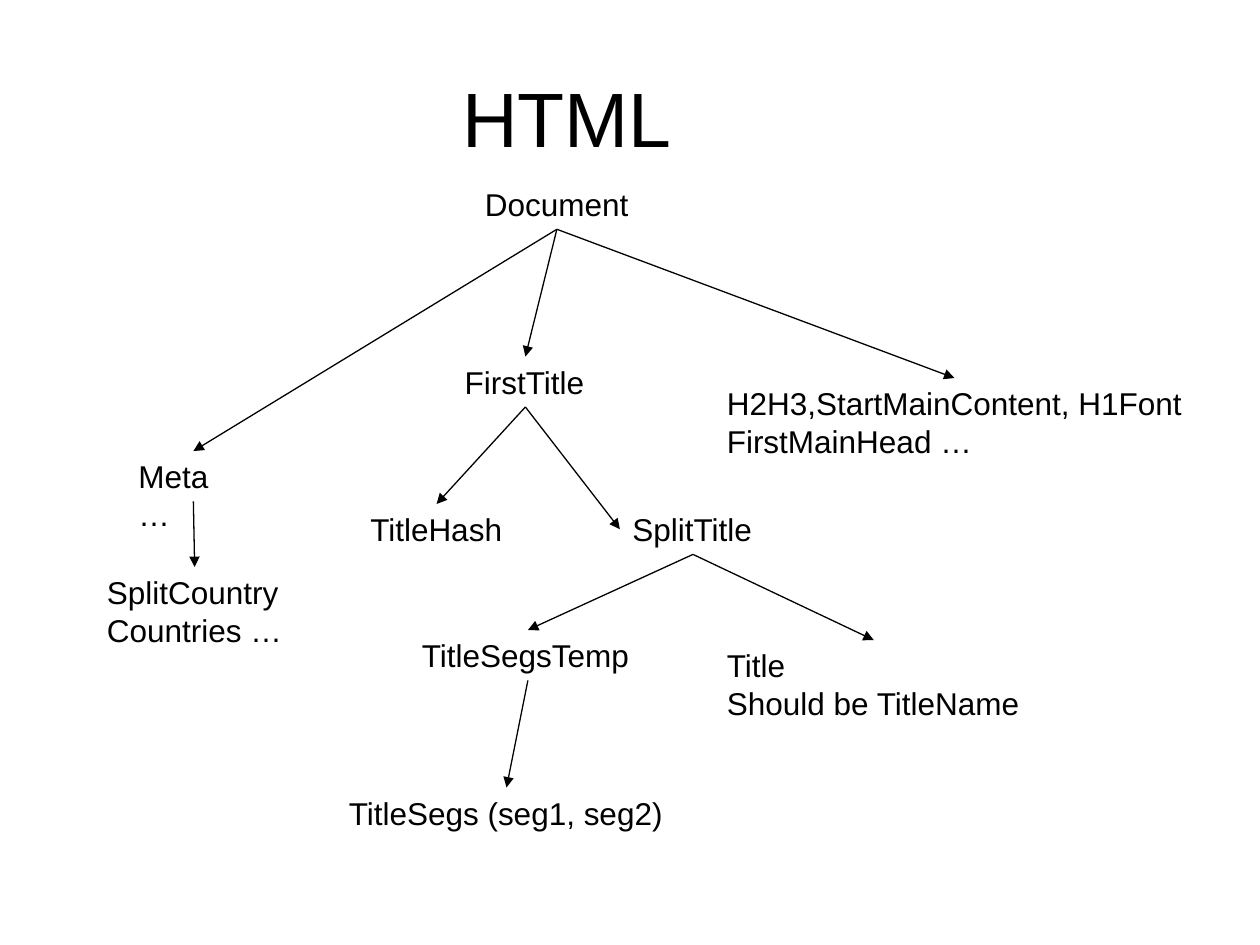
from lxml import etree
from pptx import Presentation
from pptx import util as u
from pptx.dml.color import RGBColor
from pptx.enum import shapes, text
from pptx.oxml.ns import qn

COLORS = {"ink": "000000", "background": "FFFFFF"}
INK = RGBColor.from_string(COLORS["ink"])
TOP, LEFT, BOTTOM = 0, 1, 2

presentation = Presentation()
presentation.slide_width = u.Inches(10)
presentation.slide_height = u.Inches(7.5)
slide = presentation.slides.add_slide(presentation.slide_layouts[6])
slide.background.fill.solid()
slide.background.fill.fore_color.rgb = RGBColor.from_string(COLORS["background"])


def add_text(left, top, width, height, lines, size=18):
    shape = slide.shapes.add_textbox(*map(u.Inches, (left, top, width, height)))
    frame = shape.text_frame
    frame.word_wrap = False
    frame.auto_size = text.MSO_AUTO_SIZE.SHAPE_TO_FIT_TEXT
    for index, line in enumerate(lines):
        paragraph = frame.add_paragraph() if index else frame.paragraphs[0]
        run = paragraph.add_run()
        run.text = line
        run.font.name = "Arial"
        run.font.size = u.Pt(size)
        run.font.color.rgb = INK
    return shape


# Title
title = add_text(0, 0.3, 9, 1.25, ["HTML"], size=44)
title.text_frame.word_wrap = True
title.text_frame.auto_size = text.MSO_AUTO_SIZE.NONE
title.text_frame.vertical_anchor = text.MSO_ANCHOR.MIDDLE
title.text_frame.paragraphs[0].alignment = text.PP_ALIGN.CENTER

# Tree nodes: left, top, width, lines
nodes = {
    "document": (3.75, 1.42, 1.34, ["Document"]),
    "meta": (1, 3.58, 1.07, ["Meta …"]),
    "countries": (0.75, 4.5, 1.59, ["SplitCountry", "Countries …"]),
    "first title": (3.59, 2.83, 1.16, ["FirstTitle"]),
    "headings": (5.67, 3, 3.81, ["H2H3,StartMainContent, H1Font", "FirstMainHead …"]),
    "hash": (2.84, 4, 1.25, ["TitleHash"]),
    "split title": (4.92, 4, 1.16, ["SplitTitle"]),
    "segments temp": (3.25, 5, 1.88, ["TitleSegsTemp"]),
    "title name": (5.67, 5.08, 2.53, ["Title", "Should be TitleName"]),
    "segments": (2.67, 6.25, 2.7, ["TitleSegs (seg1, seg2)"]),
}
boxes = {}
for name, (left, top, width, lines) in nodes.items():
    boxes[name] = add_text(left, top, width, 0.1 + 0.3 * len(lines), lines)

# Arrows from the bottom of each parent to a side of its child
edges = [
    ("document", "meta", TOP),
    ("document", "first title", TOP),
    ("document", "headings", TOP),
    ("meta", "countries", TOP),
    ("first title", "hash", TOP),
    ("first title", "split title", LEFT),
    ("split title", "segments temp", TOP),
    ("split title", "title name", TOP),
    ("segments temp", "segments", TOP),
]
for parent, child, side in edges:
    arrow = slide.shapes.add_connector(shapes.MSO_CONNECTOR.STRAIGHT, 0, 0, 0, 0)
    arrow.begin_connect(boxes[parent], BOTTOM)
    arrow.end_connect(boxes[child], side)
    arrow.line.color.rgb = INK
    arrow.line.width = u.Pt(0.75)
    etree.SubElement(arrow.line._get_or_add_ln(), qn("a:tailEnd"), type="triangle")
    etree.SubElement(arrow._element.spPr, qn("a:effectLst"))

presentation.save("out.pptx")
